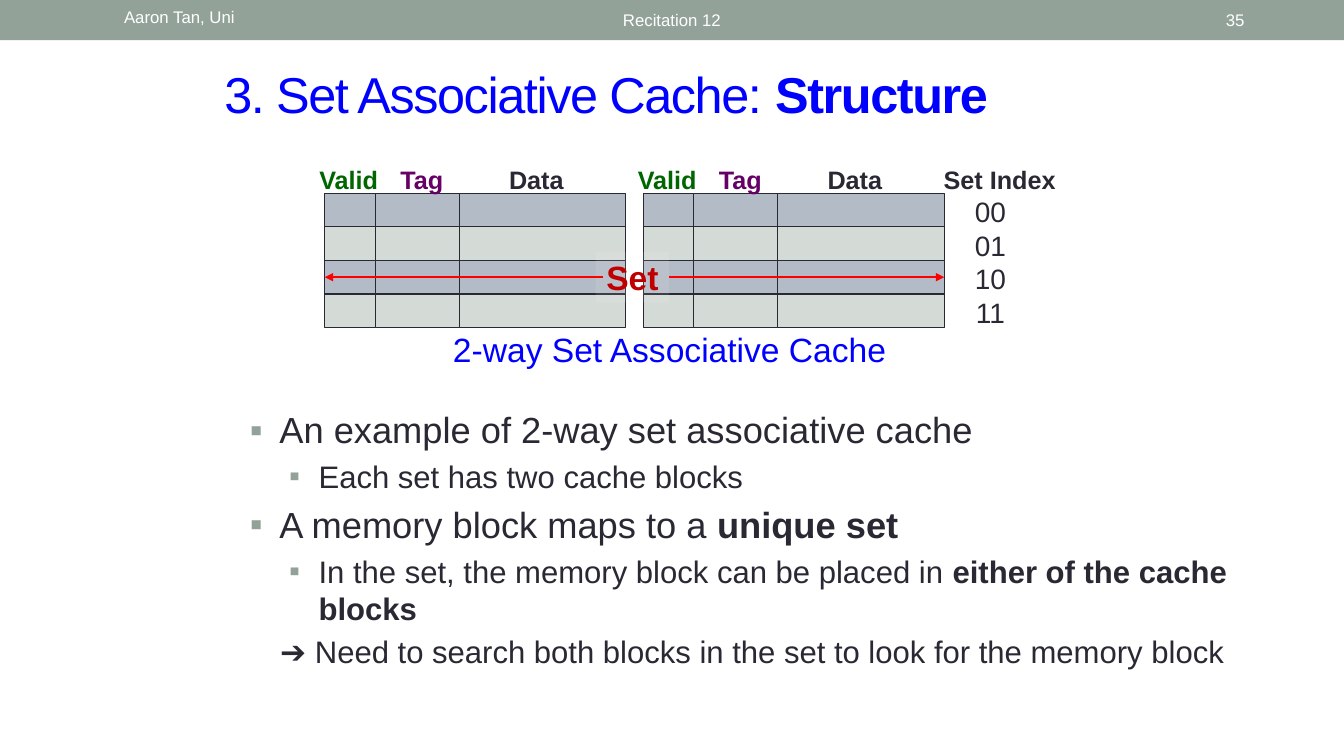
from dataclasses import dataclass

from lxml import etree
from pptx import Presentation
from pptx.dml.color import RGBColor
from pptx.enum import shapes, text
from pptx.oxml import ns
from pptx.util import Pt

SAGE = RGBColor(0x93, 0xA2, 0x99)
STEEL = RGBColor(0xB3, 0xBB, 0xC6)
MIST = RGBColor(0xD4, 0xDA, 0xD6)
INK = RGBColor(0x29, 0x29, 0x34)
BLUE = RGBColor(0x00, 0x00, 0xFF)
GREEN = RGBColor(0x00, 0x66, 0x00)
PURPLE = RGBColor(0x66, 0x00, 0x66)
RED = RGBColor(0xFF, 0x00, 0x00)
DARK_RED = RGBColor(0xC0, 0x00, 0x00)
WHITE = RGBColor(0xFF, 0xFF, 0xFF)

LEFT, CENTER, RIGHT = text.PP_ALIGN.LEFT, text.PP_ALIGN.CENTER, text.PP_ALIGN.RIGHT
TOP, MIDDLE = text.MSO_ANCHOR.TOP, text.MSO_ANCHOR.MIDDLE

WAY_LEFTS = (232, 459.5)
ROWS_TOP, ROW_HEIGHT = 138, 24
INDEXES = ("00", "01", "10", "11")
ARROW_ROW = 2


@dataclass
class Label:
    words: str
    left: float
    top: float
    width: float
    height: float
    size: float
    color: RGBColor
    bold: bool = False
    align: text.PP_ALIGN = LEFT
    anchor: text.MSO_ANCHOR = TOP
    wrap: bool = False


@dataclass
class Column:
    heading: str
    offset: float
    width: float
    heading_offset: float
    heading_width: float
    color: RGBColor


@dataclass
class Point:
    spans: tuple  # (words, bold) pairs
    level: int
    size: float
    margin: float
    indent: float
    before: float
    bulleted: bool = True


COLUMNS = (
    Column("Valid", 0, 36, -11, 60, GREEN),
    Column("Tag", 36, 60, 47, 50, PURPLE),
    Column("Data", 96, 119, 124.5, 57, INK),
)

HEADER = (
    Label("Recitation 12", 217.5, 1, 525, 26, 12, WHITE, False, CENTER, MIDDLE, True),
    Label("Aaron Tan, Uni", 81.5, 1.5, 228, 26, 12, WHITE, wrap=True),
    Label("35", 827.5, 1, 68.5, 26, 12, WHITE, False, RIGHT, MIDDLE, True),
)

POINTS = (
    Point((("An example of 2-way set associative cache", False),), 0, 25.9, 21, -21, 0),
    Point((("Each set has two cache blocks", False),), 1, 22.2, 49, -21, 4.4),
    Point((("A memory block maps to a ", False), ("unique set", True)),
          0, 25.9, 21, -21, 5.5),
    Point((("In the set, the memory block can be placed in ", False),
           ("either of the cache blocks", True)), 1, 22.2, 49, -21, 4.4),
    Point((("➔ Need to search both blocks in the set to look for the memory block", False),),
          1, 22.2, 36, -14.4, 4.4, False),
)


def add_span(para, words: str, size: float, color: RGBColor, bold: bool = False):
    span = para.add_run()
    span.text = words
    span.font.name = "Arial"
    span.font.size = Pt(size)
    span.font.bold = bold
    span.font.color.rgb = color
    return span


def set_indent(para, margin: float, indent: float):
    props = para._p.get_or_add_pPr()
    props.set("marL", str(Pt(margin)))
    props.set("indent", str(Pt(indent)))
    return props


def add_rectangle(page, left: float, top: float, width: float, height: float,
                  fill: RGBColor, outlined: bool = False):
    box = page.shapes.add_shape(shapes.MSO_SHAPE.RECTANGLE,
                                Pt(left), Pt(top), Pt(width), Pt(height))
    box.shadow.inherit = False
    box.fill.solid()
    box.fill.fore_color.rgb = fill
    if outlined:
        box.line.color.rgb = INK
        box.line.width = Pt(0.75)
    else:
        box.line.fill.background()
    return box


def add_label(page, label: Label) -> None:
    box = page.shapes.add_textbox(Pt(label.left), Pt(label.top),
                                  Pt(label.width), Pt(label.height))
    frame = box.text_frame
    frame.word_wrap = label.wrap
    frame.vertical_anchor = label.anchor
    para = frame.paragraphs[0]
    para.alignment = label.align
    add_span(para, label.words, label.size, label.color, label.bold)


def add_arrow(page, start: float, end: float, y: float):
    line = page.shapes.add_connector(shapes.MSO_CONNECTOR.STRAIGHT,
                                     Pt(start), Pt(y), Pt(end), Pt(y))
    line.line.color.rgb = RED
    line.line.width = Pt(1.75)
    etree.SubElement(line.line._get_or_add_ln(), ns.qn("a:tailEnd"), type="triangle")
    etree.SubElement(line._element.spPr, ns.qn("a:effectLst"))
    return line


def add_title(page) -> None:
    title = page.shapes.title
    title.left, title.top, title.width, title.height = Pt(153), Pt(41.5), Pt(663), Pt(50.5)
    title.text_frame.vertical_anchor = MIDDLE
    para = title.text_frame.paragraphs[0]
    para.alignment = LEFT
    set_indent(para, 155.5, -155.5)
    for words, bold in (("3. Set Associative Cache: ", False), ("Structure", True)):
        span = add_span(para, words, 36, BLUE, bold)
        span._r.get_or_add_rPr().set("spc", "-100")


def add_cache(page) -> None:
    # Two ways of cells, with a heading over each column
    cells = {}
    for way, way_left in enumerate(WAY_LEFTS):
        for column in COLUMNS:
            for row in range(len(INDEXES)):
                cells[way, column.heading, row] = add_rectangle(
                    page, way_left + column.offset, ROWS_TOP + row * ROW_HEIGHT,
                    column.width, ROW_HEIGHT, MIST if row % 2 else STEEL, True)
            add_label(page, Label(column.heading, way_left + column.heading_offset, 114,
                                  column.heading_width, 26.5, 18, column.color, True))

    # Set indexes and caption
    add_label(page, Label("Set Index", 667, 114, 98, 26.5, 18, INK, True))
    for row, index in enumerate(INDEXES):
        add_label(page, Label(index, 685, 135.5 + row * ROW_HEIGHT, 45, 26.5, 20, INK,
                              align=CENTER))
    add_label(page, Label("2-way Set Associative Cache", 316.5, 231.5, 330, 36, 24, BLUE))

    # Set marker with an arrow to each end of its row
    marker = add_rectangle(page, 425.5, 180, 52.5, 36, WHITE)
    tint = marker._element.spPr.find(".//" + ns.qn("a:srgbClr"))
    etree.SubElement(tint, ns.qn("a:alpha"), val="10000")
    marker.text_frame.word_wrap = False
    para = marker.text_frame.paragraphs[0]
    para.alignment = CENTER
    add_span(para, "Set", 24, DARK_RED, True)

    y = ROWS_TOP + (ARROW_ROW + 0.5) * ROW_HEIGHT
    right_arrow = add_arrow(page, 478, 674.5, y)
    right_arrow.begin_connect(marker, 3)
    right_arrow.end_connect(cells[1, "Data", ARROW_ROW], 3)
    left_arrow = add_arrow(page, 430.5, 232, y)
    left_arrow.end_connect(cells[0, "Valid", ARROW_ROW], 1)


def add_points(page) -> None:
    box = page.shapes.add_textbox(Pt(171.5), Pt(287.7), Pt(728.5), Pt(218.5))
    frame = box.text_frame
    frame.word_wrap = True
    for number, point in enumerate(POINTS):
        para = frame.add_paragraph() if number else frame.paragraphs[0]
        para.level = point.level
        para.space_before = Pt(point.before)
        props = set_indent(para, point.margin, point.indent)
        if point.bulleted:
            tint = etree.SubElement(props, ns.qn("a:buClr"))
            etree.SubElement(tint, ns.qn("a:srgbClr"), val=str(SAGE))
            etree.SubElement(props, ns.qn("a:buFont"), typeface="Arial")
            etree.SubElement(props, ns.qn("a:buChar"), char="▪")
        for words, bold in point.spans:
            add_span(para, words, point.size, INK, bold)


def main() -> None:
    deck = Presentation()
    deck.slide_width, deck.slide_height = Pt(960), Pt(540)
    page = deck.slides.add_slide(deck.slide_layouts[5])

    # Header band
    add_rectangle(page, 0, 0, 960, 28.8, SAGE)
    for label in HEADER:
        add_label(page, label)

    # Title, diagram and points
    add_title(page)
    add_cache(page)
    add_points(page)
    deck.save("out.pptx")


if __name__ == "__main__":
    main()
